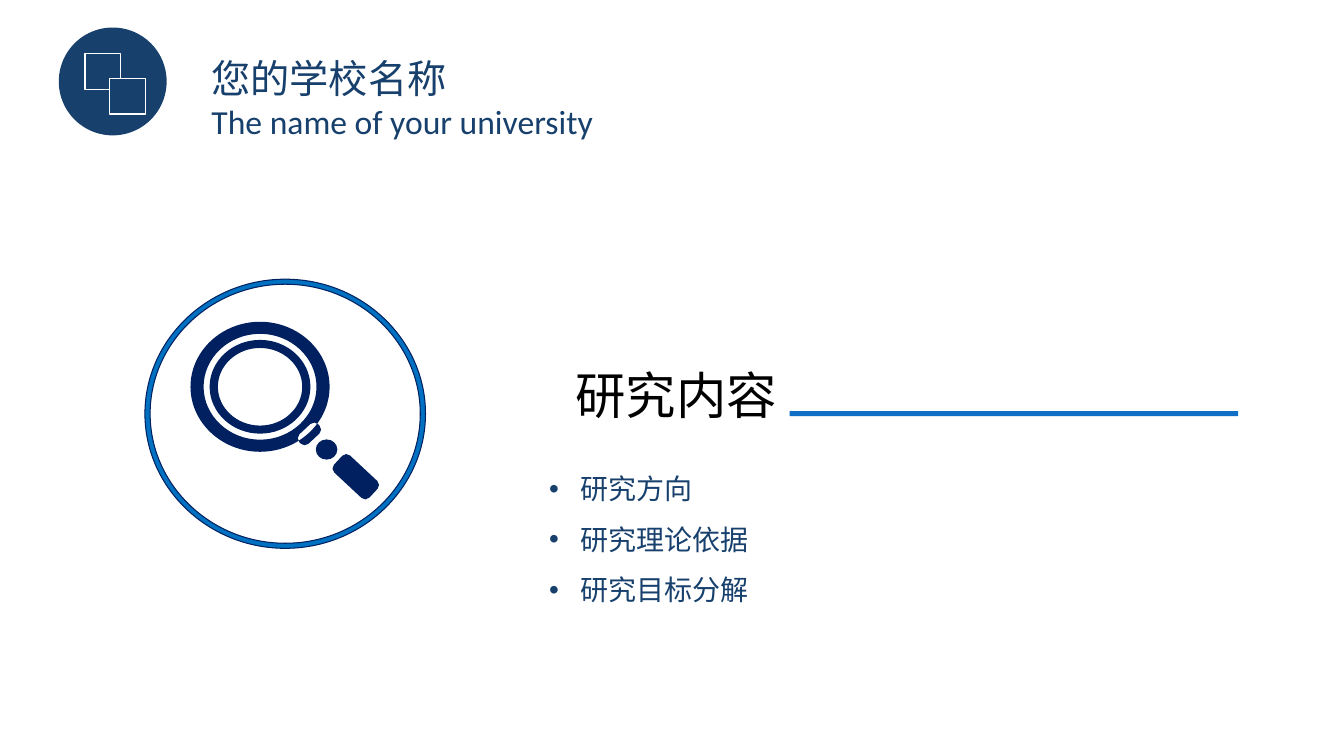
from dataclasses import dataclass
from math import cos, radians, sin

from lxml import etree
from pptx import Presentation
from pptx.dml.color import RGBColor
from pptx.enum.shapes import MSO_SHAPE
from pptx.enum.text import MSO_AUTO_SIZE
from pptx.oxml.ns import qn
from pptx.util import Inches, Pt

RECTANGLE = MSO_SHAPE.RECTANGLE
OVAL = MSO_SHAPE.OVAL
GROW = MSO_AUTO_SIZE.SHAPE_TO_FIT_TEXT

# The slide is a grid of 160 by 90 square cells.
CELL = Inches(7.5) / 90
BULLET_INDENT = 3.75
ARC_PULL = 0.55  # control arm of a cubic quarter arc, as a share of its radius
QUARTERS = [((1, 0), (0, 1)), ((0, 1), (-1, 0)),
            ((-1, 0), (0, -1)), ((0, -1), (1, 0))]


@dataclass(frozen=True)
class Theme:
    font: str = "Calibri"
    black: RGBColor = RGBColor(0x00, 0x00, 0x00)
    white: RGBColor = RGBColor(0xFF, 0xFF, 0xFF)
    school: RGBColor = RGBColor(0x17, 0x40, 0x6D)
    rule: RGBColor = RGBColor(0x0F, 0x6F, 0xC6)
    ring: RGBColor = RGBColor(0x00, 0x70, 0xC0)
    navy: RGBColor = RGBColor(0x00, 0x20, 0x60)
    title_size: float = 36
    school_size: float = 28
    english_size: float = 24
    list_size: float = 20


THEME = Theme()


def cells(count):
    return round(count * CELL)


def paint(shape, fill, line=None, line_width=1):
    shape.shadow.inherit = False
    shape.fill.solid()
    shape.fill.fore_color.rgb = fill
    if line is None:
        shape.line.fill.background()
    else:
        shape.line.color.rgb = line
        shape.line.width = Pt(line_width)


def add_block(shapes, kind, area, fill, line=None):
    block = shapes.add_shape(kind, *map(cells, area))
    paint(block, fill, line)


def add_bullet(para):
    properties = para._p.get_or_add_pPr()
    properties.set("marL", str(cells(BULLET_INDENT)))
    properties.set("indent", str(-cells(BULLET_INDENT)))
    etree.SubElement(properties, qn("a:buFont")).set("typeface", "Arial")
    etree.SubElement(properties, qn("a:buChar")).set("char", "•")


def add_text(shapes, area, lines, size, color, bulleted=False):
    box = shapes.add_textbox(*map(cells, area))
    frame = box.text_frame
    frame.word_wrap = True
    frame.auto_size = GROW
    for index, line in enumerate(lines):
        para = frame.paragraphs[0] if index == 0 else frame.add_paragraph()
        para.text = line
        if bulleted:
            add_bullet(para)
            para.line_spacing = 1.5
        para.font.name = THEME.font
        para.font.size = Pt(size)
        para.font.color.rgb = color


def rounded(center, radii, reach=(0, 0), degrees=0):
    """Four quarter arcs, spread by reach and turned clockwise about the center.

    Each arc is a list of four points: start, two controls and end.
    """
    turn = radians(degrees)

    def place(x, y):
        return (cells(center[0] + x * cos(turn) - y * sin(turn)),
                cells(center[1] + x * sin(turn) + y * cos(turn)))

    arcs = []
    for start, end in QUARTERS:
        corner = [(start[axis] + end[axis]) * reach[axis] for axis in (0, 1)]
        arcs.append([
            place(*(corner[axis] + radii[axis] * (along * start[axis] + across * end[axis])
                    for axis in (0, 1)))
            for along, across in [(1, 0), (1, ARC_PULL), (ARC_PULL, 1), (0, 1)]])
    return arcs


def curve_segments(shape, sizes):
    """Turn each run of three line segments into one cubic curve."""
    lines = iter(list(shape._element.iter(qn("a:lnTo"))))
    for size in sizes:
        segment = [next(lines) for _ in range(size)]
        if size == 3:
            curve = etree.Element(qn("a:cubicBezTo"))
            segment[0].addprevious(curve)
            for line in segment:
                curve.append(line[0])
                line.getparent().remove(line)


def add_outline(shapes, contours, fill, line=None, line_width=1):
    """Join closed contours in one shape; nested ones cut holes."""
    builder = shapes.build_freeform(*contours[0][0][0])
    sizes = []
    for index, arcs in enumerate(contours):
        pen = arcs[0][0]
        if index:
            builder.move_to(*pen)
        points = []
        for start, *curve in arcs:
            if start != pen:
                points.append(start)
                sizes.append(1)
            points.extend(curve)
            sizes.append(3)
            pen = curve[-1]
        builder.add_line_segments(points, close=True)
    shape = builder.convert_to_shape()
    curve_segments(shape, sizes)
    paint(shape, fill, line, line_width)


def add_heading(page):
    shapes = page.shapes.add_group_shape().shapes
    add_text(shapes, (67.32, 42.72, 30.12, 8.52), ["研究内容"],
             THEME.title_size, THEME.black)
    add_block(shapes, RECTANGLE, (94, 48.94, 53.4, 0.6), THEME.rule)


def add_school(page):
    shapes = page.shapes.add_group_shape().shapes
    add_block(shapes, OVAL, (7, 3.28, 12.84, 12.84), THEME.school)
    for shift in (0, 2.94):
        add_block(shapes, RECTANGLE, (10.12 + shift, 6.4 + shift, 4.24, 4.24),
                  THEME.school, THEME.white)
    add_text(shapes, (24, 5.88, 35.76, 6.84), ["您的学校名称"],
             THEME.school_size, THEME.school)
    add_text(shapes, (24, 11.4, 57.12, 6), ["The name of your university"],
             THEME.english_size, THEME.school)


def add_magnifier(page):
    shapes = page.shapes.add_group_shape().shapes
    ring_center, lens_center = (33.96, 49.26), (30.96, 46.05)
    ring = [rounded(ring_center, radii) for radii in [(16.7, 16.02), (16.08, 15.42)]]
    add_outline(shapes, ring, THEME.ring, THEME.navy, 0.75)

    lens_radii = [(8.28, 7.74), (6.72, 6.3), (6, 5.58), (5.02, 4.62)]
    lens = [rounded(lens_center, radii) for radii in lens_radii]
    clasp = rounded((36.84, 51.66), (0.66, 0.66), (0.89, 0.12), -43)
    knuckle = rounded((38.88, 53.52), (1.28, 1.2))
    handle = rounded((42.36, 56.76), (0.66, 0.66), (2.22, 0.72), 43)
    add_outline(shapes, [*lens, clasp, knuckle, handle], THEME.navy)


def main():
    deck = Presentation()
    deck.slide_width, deck.slide_height = cells(160), cells(90)
    page = deck.slides.add_slide(deck.slide_layouts[6])
    add_heading(page)
    add_text(page.shapes, (64.2, 53.6, 83.28, 23.4),
             ["研究方向", "研究理论依据", "研究目标分解"],
             THEME.list_size, THEME.school, bulleted=True)
    add_school(page)
    add_magnifier(page)
    deck.save("out.pptx")


if __name__ == "__main__":
    main()
